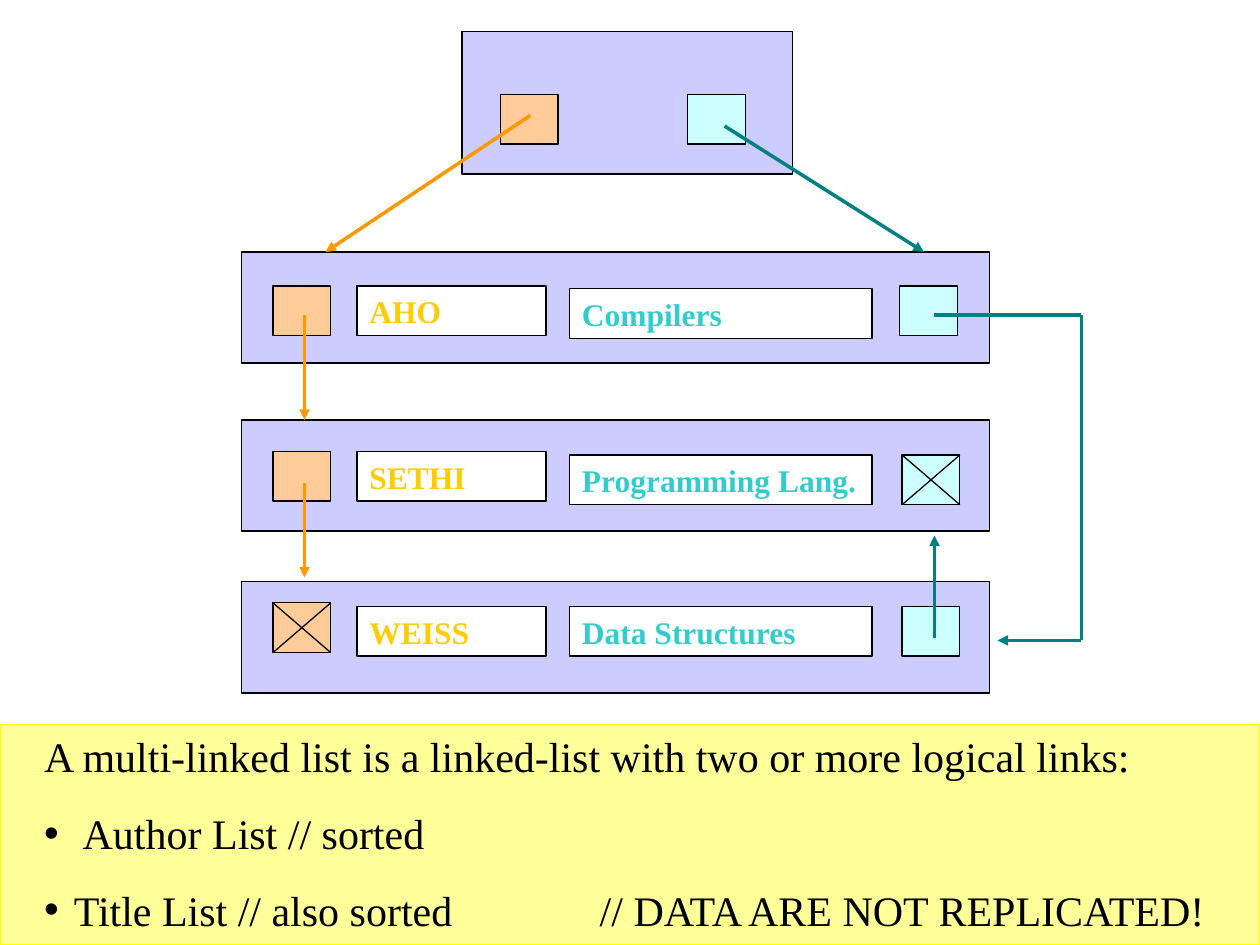
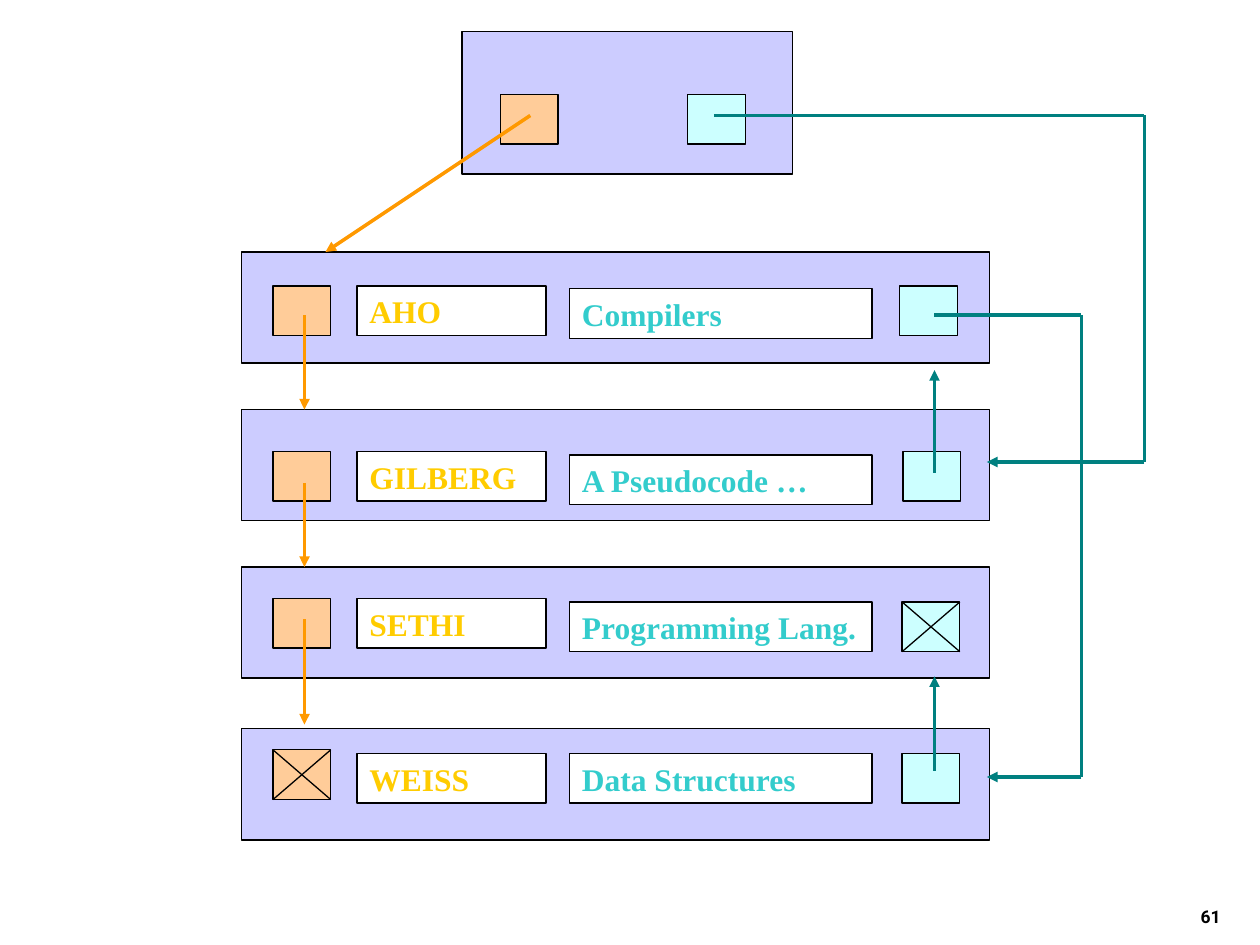
import itertools

import pptx
import pptx.dml.color
import pptx.enum.shapes
import pptx.enum.text
import pptx.oxml.ns
import pptx.util
from lxml import etree

Pt = pptx.util.Pt
RGBColor = pptx.dml.color.RGBColor
ALIGN = pptx.enum.text.PP_ALIGN
ANCHOR = pptx.enum.text.MSO_ANCHOR
qn = pptx.oxml.ns.qn

BLACK = RGBColor(0, 0, 0)
WHITE = RGBColor(255, 255, 255)
NODE_FILL = RGBColor(0xCC, 0xCC, 0xFF)
AUTHOR_FILL = RGBColor(0xFF, 0xCC, 0x99)
AUTHOR_TEXT = RGBColor(0xFF, 0xCC, 0x00)
AUTHOR_LINK = RGBColor(0xFF, 0x99, 0x00)
TITLE_FILL = RGBColor(0xCC, 0xFF, 0xFF)
TITLE_TEXT = RGBColor(0x33, 0xCC, 0xCC)
TITLE_LINK = RGBColor(0x00, 0x80, 0x80)
BAND_FILL = RGBColor(0xFF, 0xFF, 0x99)
BAND_LINE = RGBColor(0xFF, 0xFF, 0x00)

SERIF = "Times New Roman"
POINTER_WIDTH = 33
CELL_HEIGHT = 28.4

# Author: title, title pointer's left, then how far below the node's top
# the author cells, author field, title field and title pointer start
RECORDS = {
    "AHO": ("Compilers", 514, (19.5, 19.5, 21, 19.5)),
    "GILBERG": ("A Pseudocode …", 516, (24, 24, 26, 24)),
    "SETHI": ("Programming Lang.", 515.5, (18, 18, 20, 20)),
    "WEISS": ("Data Structures", 515.5, (12, 14, 14, 14)),
}
LAST_AUTHOR, LAST_TITLE = "WEISS", "SETHI"

HEAD_TO_AHO = (AUTHOR_LINK, [(303, 66), (186, 144)])

# Layout number, top of each record's node, linking paths
DIAGRAMS = [
    (1, {"AHO": 144, "SETHI": 240, "WEISS": 332.5}, [
        HEAD_TO_AHO,
        (AUTHOR_LINK, [(174, 180), (174, 240)]),
        (AUTHOR_LINK, [(174, 276), (174, 330)]),
        (TITLE_LINK, [(414, 72), (528, 144)]),
        (TITLE_LINK, [(534, 364.5), (534, 306)]),
        (TITLE_LINK, [(534, 180), (618, 180), (618, 366), (570, 366)]),
    ]),
    (6, {"AHO": 144, "GILBERG": 234, "SETHI": 324, "WEISS": 416.5}, [
        HEAD_TO_AHO,
        (AUTHOR_LINK, [(174, 180), (174, 234)]),
        (AUTHOR_LINK, [(174, 276), (174, 324)]),
        (AUTHOR_LINK, [(174, 354), (174, 414)]),
        (TITLE_LINK, [(408, 66), (654, 66), (654, 264), (564, 264)]),
        (TITLE_LINK, [(534, 270), (534, 211.5)]),
        (TITLE_LINK, [(534, 180), (618, 180), (618, 444), (564, 444)]),
        (TITLE_LINK, [(534, 440.5), (534, 386.5)]),
    ]),
]


def write_text(para, text, size=18, color=BLACK, bold=False, font=SERIF,
               align=ALIGN.LEFT, before=0):
    para.alignment = align
    para.space_before = Pt(before)
    para.line_spacing = 1.0
    span = para.add_run()
    span.text = text
    span.font.size = Pt(size)
    span.font.bold = bold
    span.font.name = font
    span.font.color.rgb = color


def draw_path(page, points, color=BLACK, width=0.75, arrow=False):
    """Join the points with straight lines, with an arrowhead at the last."""
    for start, end in itertools.pairwise(points):
        line = page.shapes.add_connector(
            pptx.enum.shapes.MSO_CONNECTOR.STRAIGHT, *map(Pt, start + end))
        line.line.color.rgb = color
        line.line.width = Pt(width)
        properties = line.element.spPr
        etree.SubElement(properties, qn("a:effectLst"))
    if arrow:
        etree.SubElement(properties.find(qn("a:ln")), qn("a:tailEnd"),
                         type="triangle")


deck = pptx.Presentation()
deck.slide_width, deck.slide_height = Pt(720), Pt(540)

for layout_number, node_tops, paths in DIAGRAMS:
    page = deck.slides.add_slide(deck.slide_layouts[layout_number])

    # Each box: left, top, width, height, fill, text, text colour
    boxes = [
        (264, 18, 189, 81.5, NODE_FILL, "", BLACK),
        (393, 54, POINTER_WIDTH, CELL_HEIGHT, TITLE_FILL, "", BLACK),
        (286, 54, POINTER_WIDTH, CELL_HEIGHT, AUTHOR_FILL, "", BLACK),
    ]
    crossed = []
    for author, top in node_tops.items():
        title, title_pointer_left, offsets = RECORDS[author]
        pointer_top, author_top, title_top, title_pointer_top = (
            top + offset for offset in offsets)
        boxes += [
            (138, top, 427.5, 63.5, NODE_FILL, "", BLACK),
            (156, pointer_top, POINTER_WIDTH, CELL_HEIGHT, AUTHOR_FILL, "", BLACK),
            (204, author_top, 108, CELL_HEIGHT, WHITE, author, AUTHOR_TEXT),
            (325.5, title_top, 172.8, CELL_HEIGHT, WHITE, title, TITLE_TEXT),
            (title_pointer_left, title_pointer_top, POINTER_WIDTH, CELL_HEIGHT,
             TITLE_FILL, "", BLACK),
        ]
        if author == LAST_AUTHOR:
            crossed.append((156, pointer_top))
        if author == LAST_TITLE:
            crossed.append((title_pointer_left, title_pointer_top))
    if layout_number == 1:
        boxes.append((0, 414, 720, 126, BAND_FILL, "", BLACK))

    for left, top, width, height, fill, text, color in boxes:
        box = page.shapes.add_shape(
            pptx.enum.shapes.MSO_SHAPE.RECTANGLE,
            Pt(left), Pt(top), Pt(width), Pt(height))
        box.shadow.inherit = False
        box.fill.solid()
        box.fill.fore_color.rgb = fill
        box.line.color.rgb = BAND_LINE if fill == BAND_FILL else BLACK
        box.line.width = Pt(0.75)
        if text:
            box.text_frame.word_wrap = True
            box.text_frame.vertical_anchor = ANCHOR.TOP
            write_text(box.text_frame.paragraphs[0], text, color=color, bold=True)

    for left, top in crossed:
        right, bottom = left + POINTER_WIDTH, top + CELL_HEIGHT
        draw_path(page, [(right, top), (left, bottom)])
        draw_path(page, [(left, top), (right, bottom)])
    for color, points in paths:
        draw_path(page, points, color=color, width=2, arrow=True)

# Definition below the first diagram
page = deck.slides[0]
title_holder = page.shapes.title.element
title_holder.getparent().remove(title_holder)
body = page.placeholders[1]
body.element.getparent().append(body.element)
body.left, body.top, body.width, body.height = Pt(18), Pt(414), Pt(684), Pt(126)
body.text_frame.word_wrap = True
body.text_frame.auto_size = pptx.enum.text.MSO_AUTO_SIZE.NONE

lines = [
    ("A multi-linked list is a linked-list with two or more logical links:", 0),
    ("Author List // sorted", 22),
    ("Title List // also sorted\t// DATA ARE NOT REPLICATED!", 17),
]
for number, (text, indent) in enumerate(lines):
    frame = body.text_frame
    para = frame.add_paragraph() if number else frame.paragraphs[0]
    write_text(para, text, size=24, before=15 if number else 0)
    properties = para._p.get_or_add_pPr()
    properties.set("marL", str(Pt(indent)))
    properties.set("indent", str(-Pt(indent)))
    if indent:
        etree.SubElement(properties, qn("a:buChar"), char="•")
    else:
        etree.SubElement(properties, qn("a:buNone"))
    if "\t" in text:
        tabs = etree.SubElement(properties, qn("a:tabLst"))
        etree.SubElement(tabs, qn("a:tab"), pos=str(Pt(317.5)), algn="l")

# Page number of the second diagram
number_box = deck.slides[1].shapes.add_textbox(Pt(554.5), Pt(497.5), Pt(150), Pt(36))
number_box.text_frame.word_wrap = True
number_box.text_frame.vertical_anchor = ANCHOR.BOTTOM
write_text(number_box.text_frame.paragraphs[0], "61", size=10, bold=True,
           font="Roboto", align=ALIGN.RIGHT)

deck.save("out.pptx")
